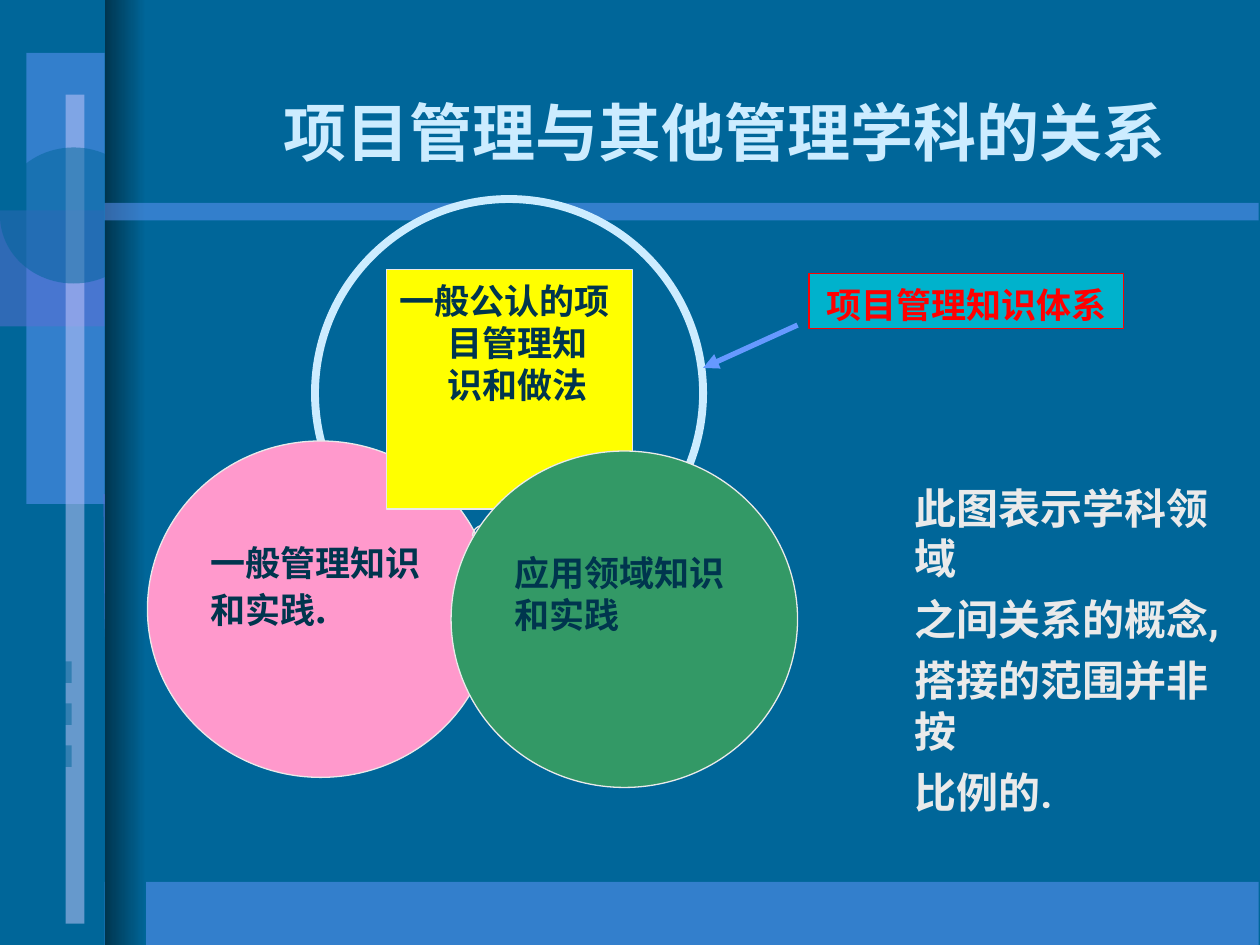
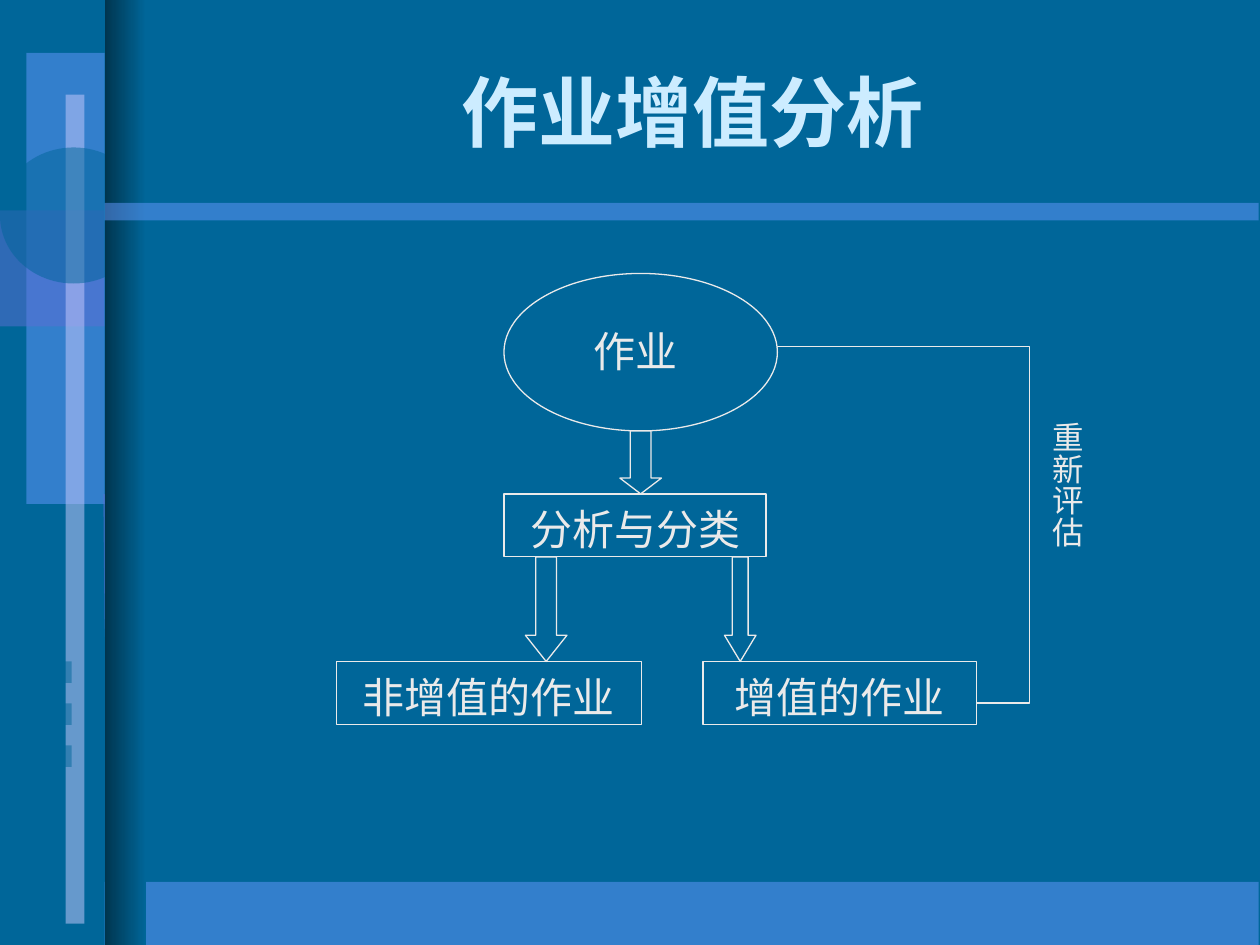
from lxml import etree
from pptx import Presentation
from pptx.dml.color import RGBColor
from pptx.enum.shapes import MSO_CONNECTOR, MSO_SHAPE as SHAPE
from pptx.enum.text import MSO_ANCHOR as ANCHOR, PP_ALIGN as ALIGN
from pptx.oxml.ns import qn
from pptx.util import Inches, Pt

BLUE, NAVY, BAND, VIOLET = "006699", "00354E", "6699FF", "5E6FD4"
LILAC, ICE, PALE = "CCCCFF", "CCECFF", "EAEAEA"
CJK, SERIF, TITLE_FONT = "Noto Sans CJK SC", "Times New Roman", "Montserrat"
LEADING = 1.2

SIDE_PANELS = [
    ((0.83, 7, 9.16, 0.5), BAND),
    ((0.21, 0.42, 0.62, 3.58), BAND),
    ((0, 1.67, 0.83, 0.92), VIOLET),
    ((0.52, 0.75, 0.15, 6.58), LILAC),
] + [((0, 5.25 + i / 3, 0.57, 0.17), BLUE) for i in range(3)]
SLIVER = [(0.82, 3.92), (0.9, 3.94), (0.97, 4.08), (1.03, 4.32), (1.06, 4.8),
          (1.04, 5.36), (0.97, 5.75), (0.86, 5.91), (0.83, 4.93)]
SPINE = (0.83, 0, 0.33, 7.5)
TITLE_RULE = (0.83, 1.61, 9.16, 0.14)

FIELD_SIZE = (2.75, 2.67)
GENERAL_FIELD = [("一般管理知识和实践", 20), (".", 24)]
APPLIED_FIELD = [("应用领域知识和实践", 20)]
NOTE = ["此图表示学科领域", "之间关系的概念,", "搭接的范围并非按", "比例的."]

STEPS = [
    ("分析与分类", (4, 3.92, 2.08, 0.5)),
    ("非增值的作业", (2.67, 5.25, 2.42, 0.5)),
    ("增值的作业", (5.58, 5.25, 2.17, 0.5)),
]
STEP_ARROWS = [
    ((4.92, 3.42, 0.33, 0.5), 0.38),
    ((4.17, 4.42, 0.33, 0.83), 0.63),
    ((5.75, 4.42, 0.25, 0.83), 0.83),
]
FEEDBACK = [(7.75, 5.58), (8.17, 5.58), (8.17, 2.75), (6.17, 2.75)]


def rgb(color):
    return RGBColor.from_string(color)


def paint(sp, fill=None, line=None, width=0.75, alpha=None):
    sp.shadow.inherit = False
    if fill:
        sp.fill.solid()
        sp.fill.fore_color.rgb = rgb(fill)
        if alpha:
            clr = sp.fill._xPr.find(".//" + qn("a:srgbClr"))
            etree.SubElement(clr, qn("a:alpha"), val=str(alpha * 1000))
    else:
        sp.fill.background()
    if line:
        sp.line.color.rgb = rgb(line)
        sp.line.width = Pt(width)
    else:
        sp.line.fill.background()
    return sp


def shape(s, kind, box, fill=None, **style):
    return paint(s.shapes.add_shape(kind, *map(Inches, box)), fill, **style)


def outline(s, points, closed, **style):
    pts = [(Inches(x), Inches(y)) for x, y in points]
    fb = s.shapes.build_freeform(*pts[0], scale=1.0)
    fb.add_line_segments(pts[1:], close=closed)
    return paint(fb.convert_to_shape(), **style)


def text_box(s, box):
    return s.shapes.add_textbox(*map(Inches, box))


def write(sp, paragraphs, font, color, bold=False, align=ALIGN.CENTER,
          anchor=ANCHOR.TOP, top=0.08, gap=0, leading=LEADING, wrap=True):
    tf = sp.text_frame
    tf.word_wrap = wrap
    tf.vertical_anchor = anchor
    tf.margin_left = tf.margin_right = Inches(0.1)
    tf.margin_top, tf.margin_bottom = Inches(top), Inches(0.05)
    for i, runs in enumerate(paragraphs):
        p = tf.paragraphs[0] if i == 0 else tf.add_paragraph()
        p.alignment = align
        if leading:
            p.line_spacing = Pt(leading * runs[0][1])
        if i:
            p.space_before = Pt(gap)
        for text, size in runs:
            r = p.add_run()
            r.text = text
            r.font.name, r.font.size, r.font.bold = font, Pt(size), bold
            r.font.color.rgb = rgb(color)
            latin = r._r.rPr.find(qn("a:latin"))
            latin.addnext(latin.makeelement(qn("a:ea"), {"typeface": CJK}))
    return tf


def backdrop(s):
    s.background.fill.solid()
    s.background.fill.fore_color.rgb = rgb(BLUE)
    for box, color in SIDE_PANELS:
        shape(s, SHAPE.RECTANGLE, box, color, alpha=50)
    outline(s, SLIVER, True, fill=VIOLET, alpha=50)
    shape(s, SHAPE.OVAL, (0, 1.17, 1.17, 1.08), BLUE, alpha=50)
    spine = shape(s, SHAPE.RECTANGLE, SPINE)
    spine.fill.gradient()
    spine.fill.gradient_angle = 180
    for stop, color in zip(spine.fill.gradient_stops, (BLUE, NAVY)):
        stop.color.rgb = rgb(color)
    shape(s, SHAPE.RECTANGLE, TITLE_RULE, BAND, alpha=50)


def title(s, text, left, top, size, font):
    write(text_box(s, (left, top, 8.5, 1.25)), [[(text, size)]], font, ICE,
          bold=True, anchor=ANCHOR.MIDDLE, top=0.05, leading=None)


def arrow(s, start, end, color, width):
    ends = map(Inches, start + end)
    c = s.shapes.add_connector(MSO_CONNECTOR.STRAIGHT, *ends)
    c.line.color.rgb = rgb(color)
    c.line.width = Pt(width)
    sp_pr = c._element.spPr
    etree.SubElement(sp_pr.find(qn("a:ln")), qn("a:tailEnd"), type="triangle")
    etree.SubElement(sp_pr, qn("a:effectLst"))


def field(s, left, top, fill, runs, inset, leading):
    sp = shape(s, SHAPE.OVAL, (left, top) + FIELD_SIZE, fill, line=PALE)
    write(sp, [runs], SERIF, NAVY, bold=True, align=ALIGN.LEFT,
          top=inset, leading=leading)


def disciplines_slide(s):
    backdrop(s)
    shape(s, SHAPE.OVAL, (2.5, 1.58, 3.08, 3.08), BLUE, line=ICE, width=4.5)
    title(s, "项目管理与其他管理学科的关系", 1.5, 0.42, 36, CJK)
    field(s, 1.17, 3.5, "FF99CC", GENERAL_FIELD, 0.35, 1.4)
    arrow(s, (6.33, 2.58), (5.58, 2.92), BAND, 3)

    body = shape(s, SHAPE.RECTANGLE, (6.42, 2.17, 2.5, 0.44), "00FFFF",
                 line="FF0000", alpha=50)
    write(body, [[("项目管理知识体系", 20)]], TITLE_FONT, "FF0000", bold=True)

    arc = shape(s, SHAPE.ARC, (3.75, 4.17, 0.17, 0.17), line=PALE)
    arc.adjustments[0], arc.adjustments[1] = 108, 162

    core = shape(s, SHAPE.RECTANGLE, (3.07, 2.14, 1.95, 1.9), "FFFF00", line=PALE)
    tf = write(core, [[("一般公认的项目管理知识和做法", 20)]], "Arial", NAVY,
               bold=True, align=ALIGN.LEFT)
    p_pr = tf.paragraphs[0]._p.get_or_add_pPr()
    p_pr.set("marL", str(Inches(0.38)))
    p_pr.set("indent", str(Inches(-0.38)))

    field(s, 3.58, 3.58, "339966", APPLIED_FIELD, 0.41, LEADING)
    write(text_box(s, (7.16, 3.75, 2.86, 1.95)), [[(line, 24)] for line in NOTE],
          "Roboto Condensed", PALE, bold=True, align=ALIGN.LEFT, gap=6, wrap=False)


def value_slide(s):
    backdrop(s)
    title(s, "作业增值分析", 1.25, 0.25, 44, TITLE_FONT)
    shape(s, SHAPE.OVAL, (4, 2.17, 2.17, 1.25), BLUE, line=PALE)
    for text, box in STEPS:
        step = shape(s, SHAPE.RECTANGLE, box, BLUE, line=PALE)
        write(step, [[(text, 24)]], SERIF, PALE)
    write(text_box(s, (4.42, 2.5, 1.25, 0.5)), [[("作业", 24)]], SERIF, PALE)
    for box, head in STEP_ARROWS:
        down = shape(s, SHAPE.DOWN_ARROW, box, BLUE, line=PALE)
        down.adjustments[0], down.adjustments[1] = 0.5, head
    outline(s, FEEDBACK, False, line=PALE)
    tf = write(text_box(s, (8.17, 3.25, 0.5, 1.92)), [[("重新评估", 18)]], SERIF, PALE)
    tf._txBody.bodyPr.set("vert", "eaVert")
    tf.margin_left = tf.margin_right = Inches(0.05)
    tf.margin_top = tf.margin_bottom = Inches(0.1)


def main():
    prs = Presentation()
    prs.slide_width, prs.slide_height = Inches(10), Inches(7.5)
    for build in (disciplines_slide, value_slide):
        build(prs.slides.add_slide(prs.slide_layouts[6]))
    prs.save("out.pptx")


if __name__ == "__main__":
    main()
